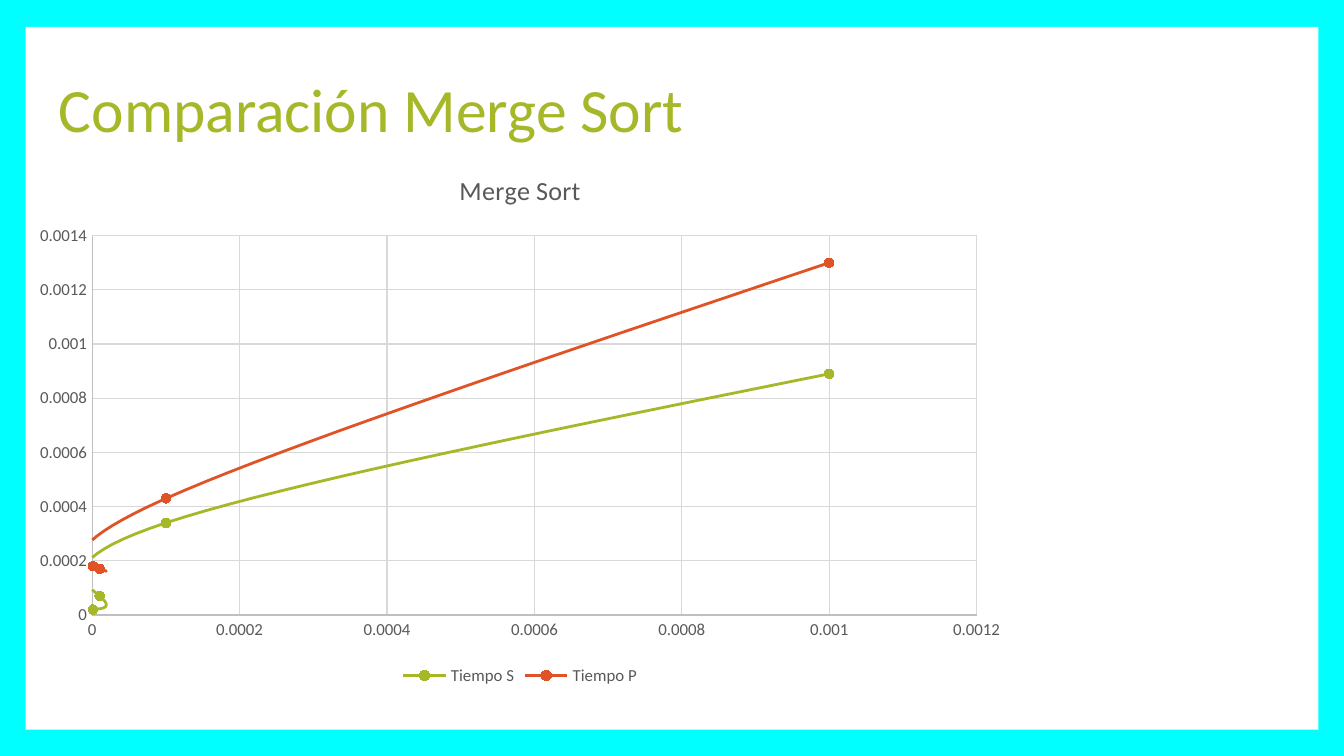
from dataclasses import dataclass

import pptx
import pptx.chart.data
import pptx.dml.color
import pptx.enum.chart
import pptx.enum.shapes
import pptx.enum.text
import pptx.util
from pptx.util import Inches, Pt

RGBColor = pptx.dml.color.RGBColor
CYAN = RGBColor(0x00, 0xFF, 0xFF)
WHITE = RGBColor(0xFF, 0xFF, 0xFF)
BLACK = RGBColor(0x00, 0x00, 0x00)
GREEN = RGBColor(0xA6, 0xB7, 0x27)
ORANGE = RGBColor(0xDF, 0x53, 0x27)
TEXT_GRAY = RGBColor(0x59, 0x59, 0x59)
AXIS_GRAY = RGBColor(0xBF, 0xBF, 0xBF)
GRID_GRAY = RGBColor(0xD9, 0xD9, 0xD9)
FONT = "Calibri"


@dataclass
class TimeSeries:
    name: str
    times: tuple[float, ...]
    color: RGBColor


X_VALUES = (0.000001, 0.00001, 0.0001, 0.001)
TIME_SERIES = (
    TimeSeries("Tiempo S", (0.00002, 0.00007, 0.00034, 0.00089), GREEN),
    TimeSeries("Tiempo P", (0.00018, 0.00017, 0.00043, 0.0013), ORANGE),
)


def set_font(font, size: float, color: RGBColor) -> None:
    font.name = FONT
    font.size = Pt(size)
    font.bold = False
    font.color.rgb = color


def set_line(line, color: RGBColor, width: float) -> None:
    line.color.rgb = color
    line.width = Pt(width)


def add_panel(slide) -> None:
    panel = slide.shapes.add_shape(
        pptx.enum.shapes.MSO_SHAPE.RECTANGLE,
        Inches(0.19), Inches(0.2), Inches(9.62), Inches(5.23))
    panel.shadow.inherit = False
    panel.fill.solid()
    panel.fill.fore_color.rgb = WHITE
    panel.line.fill.background()


def add_title(slide, text: str) -> None:
    box = slide.shapes.add_textbox(Inches(0.34), Inches(0.52), Inches(9.32), Inches(0.63))
    frame = box.text_frame
    frame.word_wrap = True
    frame.vertical_anchor = pptx.enum.text.MSO_ANCHOR.MIDDLE
    frame.margin_left = frame.margin_right = Inches(0.1)
    frame.margin_top = frame.margin_bottom = Inches(0.1)
    paragraph = frame.paragraphs[0]
    paragraph.line_spacing = 0.9
    run = paragraph.add_run()
    run.text = text
    set_font(run.font, 33, GREEN)


def style_axis(axis, maximum: float) -> None:
    axis.minimum_scale = 0
    axis.maximum_scale = maximum
    axis.major_unit = 0.0002
    axis.major_tick_mark = axis.minor_tick_mark = pptx.enum.chart.XL_TICK_MARK.NONE
    axis.has_major_gridlines = True
    set_line(axis.major_gridlines.format.line, GRID_GRAY, 0.75)
    set_line(axis.format.line, AXIS_GRAY, 0.75)
    set_font(axis.tick_labels.font, 9, TEXT_GRAY)
    axis.tick_labels.number_format = "General"
    axis.tick_labels.number_format_is_linked = False


def style_series(series, color: RGBColor) -> None:
    """Colour the line and markers; scatter smoothing is only reachable in XML."""
    series._element.xpath("c:smooth")[0].set("val", "1")
    set_line(series.format.line, color, 1.5)
    marker = series.marker
    marker.style = pptx.enum.chart.XL_MARKER_STYLE.CIRCLE
    marker.size = 5
    marker.format.fill.solid()
    marker.format.fill.fore_color.rgb = color
    set_line(marker.format.line, color, 0.75)


def add_time_chart(slide, title: str) -> None:
    data = pptx.chart.data.XyChartData()
    for time_series in TIME_SERIES:
        series_data = data.add_series(time_series.name)
        for x, time in zip(X_VALUES, time_series.times):
            series_data.add_data_point(x, time)
    chart = slide.shapes.add_chart(
        pptx.enum.chart.XL_CHART_TYPE.XY_SCATTER_SMOOTH,
        Inches(0.15), Inches(1.11), Inches(7.44), Inches(4.03), data).chart
    set_font(chart.font, 10, BLACK)

    chart.has_title = True
    run = chart.chart_title.text_frame.paragraphs[0].add_run()
    run.text = title
    set_font(run.font, 14, TEXT_GRAY)
    chart.chart_title.include_in_layout = False

    chart.has_legend = True
    chart.legend.position = pptx.enum.chart.XL_LEGEND_POSITION.BOTTOM
    chart.legend.include_in_layout = False
    set_font(chart.legend.font, 9, TEXT_GRAY)

    style_axis(chart.category_axis, 0.0012)
    style_axis(chart.value_axis, 0.0014)
    chart.plots[0].vary_by_categories = False
    for series, time_series in zip(chart.plots[0].series, TIME_SERIES):
        style_series(series, time_series.color)


def main() -> None:
    presentation = pptx.Presentation()
    presentation.slide_width = Inches(10)
    presentation.slide_height = Inches(5.625)
    slide = presentation.slides.add_slide(presentation.slide_layouts[6])
    slide.background.fill.solid()
    slide.background.fill.fore_color.rgb = CYAN
    add_panel(slide)
    add_title(slide, "Comparación Merge Sort")
    add_time_chart(slide, "Merge Sort")
    presentation.save("out.pptx")


if __name__ == "__main__":
    main()
